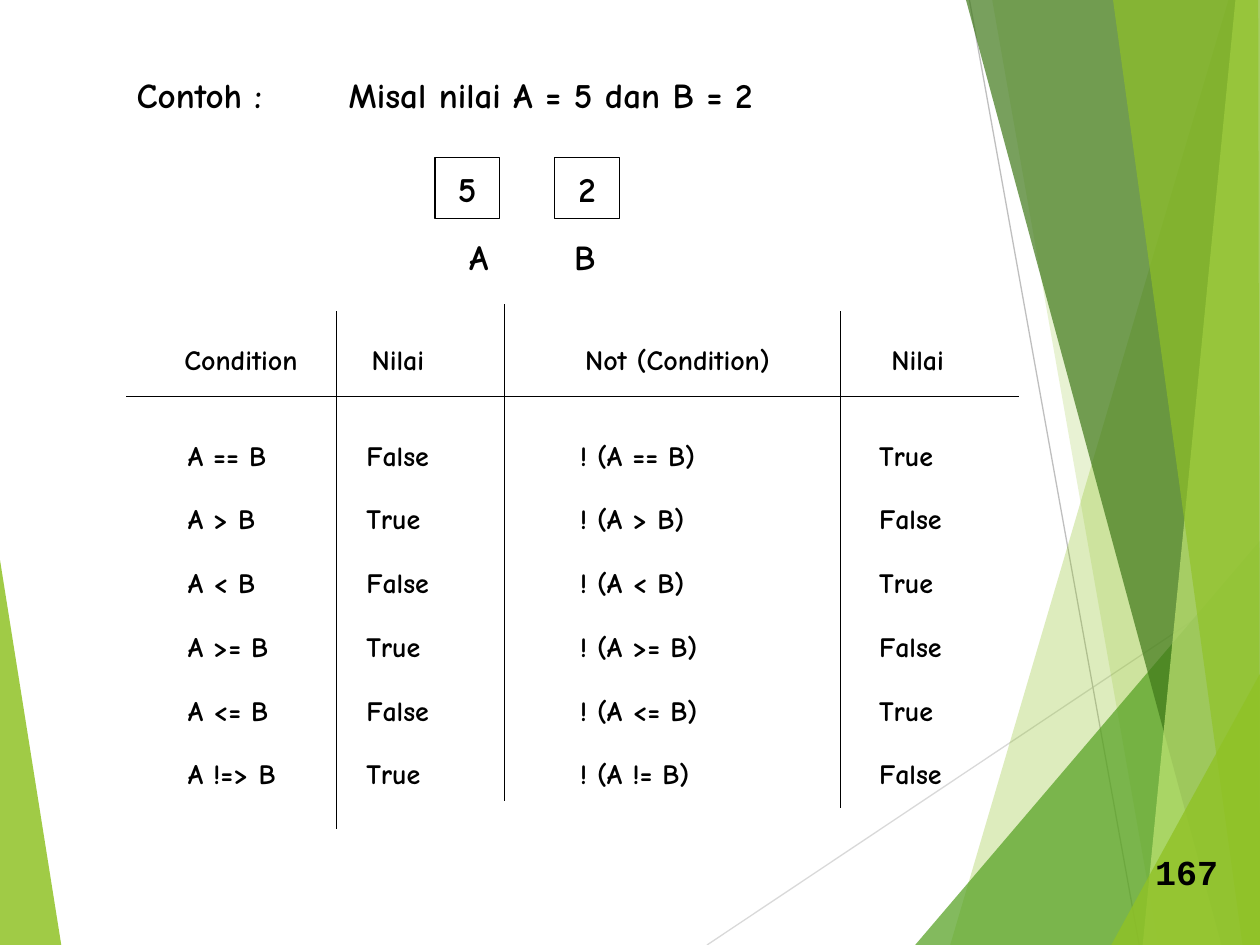
from lxml import etree
from pptx import Presentation
from pptx.dml.color import RGBColor
from pptx.enum.shapes import MSO_CONNECTOR, MSO_SHAPE
from pptx.enum.text import MSO_ANCHOR, MSO_AUTO_SIZE, PP_ALIGN
from pptx.oxml.ns import qn
from pptx.util import Pt

STRAIGHT = MSO_CONNECTOR.STRAIGHT
RECT = MSO_SHAPE.RECTANGLE
TOP, MIDDLE = MSO_ANCHOR.TOP, MSO_ANCHOR.MIDDLE
LEFT, CENTER = PP_ALIGN.LEFT, PP_ALIGN.CENTER
FIT = MSO_AUTO_SIZE.SHAPE_TO_FIT_TEXT

WIDE, HIGH = 720, 540
INK = "000000"
HAND, MONO = "Comic Neue", "Courier New"

# Colour, opacity in percent, corners; back to front
LEAF = ("90C226", 85, [(0, 320), (35, 540), (0, 540)])
FAN = [
    ("90C226", 30, [(702, 0), (543, 540), (720, 540), (720, 0)]),
    ("90C226", 20, [(567, 0), (662, 540), (720, 540), (720, 0)]),
    ("54A021", 72, [(523, 540), (720, 309), (720, 540)]),
    ("3F7819", 70, [(552, 0), (698, 540), (720, 540), (720, 0)]),
    ("C0E474", 70, [(706, 0), (653, 540), (720, 540), (720, 0)]),
    ("90C226", 65, [(636, 0), (710, 540), (720, 540), (719, 0)]),
    ("90C226", 80, [(635, 540), (720, 385), (720, 540)]),
]

# Values with box left, label left and label width
VARS = [("5", "A", 0, 12.5, 27), ("2", "B", 68.5, 72.5, 29)]

TESTS = ["A == B", "A > B", "A < B", "A >= B", "A <= B", "A !=> B"]
NOTS = ["! (A == B)", "! (A > B)", "! (A < B)",
        "! (A >= B)", "! (A <= B)", "! (A != B)"]
ODD, EVEN = ["False", "True"] * 3, ["True", "False"] * 3

# Head, its left and width, then rows, their left and width
COLS = [
    ("Condition", 26, 82, TESTS, 28, 68),
    ("Nilai", 133, 48, ODD, 130, 54),
    ("Not (Condition)", 255, 123, NOTS, 252, 86),
    ("Nilai", 430, 48, EVEN, 423, 54),
]
# Left, top and bottom of each upright rule
RULES = [(120, 4, 300), (216, 0, 284), (408, 4, 288)]


def color(text):
    return RGBColor.from_string(text)


def place(shape, box):
    shape.left, shape.top, shape.width, shape.height = map(Pt, box)


def write(shape, lines, size, font=HAND, align=LEFT, space=1.0):
    frame = shape.text_frame
    frame.word_wrap = False
    frame.text = "\n".join(lines)
    for para in frame.paragraphs:
        para.alignment = align
        para.line_spacing = space
        para.font.name = font
        para.font.size = Pt(size)
        para.font.bold = True
        para.font.color.rgb = color(INK)
    return frame


def label(slide, box, lines, size, font=HAND, space=1.0):
    shape = slide.shapes.add_textbox(*map(Pt, box))
    write(shape, lines, size, font, space=space).auto_size = FIT


def rule(slide, start, end, tint=INK):
    line = slide.shapes.add_connector(STRAIGHT, *map(Pt, start + end))
    line.line.color.rgb = color(tint)
    line.line.width = Pt(0.75)
    props = line._element.spPr
    etree.SubElement(props, qn("a:effectLst"))


def shard(slide, tint, alpha, points):
    pen = slide.shapes.build_freeform(*points[0], scale=Pt(1))
    pen.add_line_segments(points[1:])
    shape = pen.convert_to_shape()
    shape.shadow.inherit = False
    shape.line.fill.background()
    shape.fill.solid()
    shape.fill.fore_color.rgb = color(tint)
    clr = shape._element.spPr.find(qn("a:solidFill"))[0]
    etree.SubElement(clr, qn("a:alpha"), val=str(alpha * 1000))


def backdrop(slide, box):
    x, y, w, h = box
    shard(slide, *LEAF)
    rule(slide, (x + 404, y + h), (x + w, y + 329), "D9D9D9")
    rule(slide, (x + 554, y), (x + 651, y + h), "BFBFBF")
    for part in FAN:
        shard(slide, *part)


def heading(slide, box):
    x, y, w, h = box
    label(slide, (x, y, 90, h), ["Contoh :"], 20)
    title = slide.shapes.title
    place(title, (x + 121, y, w - 121, h))
    frame = write(title, ["Misal nilai A = 5 dan B = 2"], 20)
    frame.vertical_anchor = TOP
    frame.auto_size = FIT


def values(slide, box):
    x, y, w, h = box
    for value, name, left, tag, wide in VARS:
        cell = slide.shapes.add_shape(RECT, Pt(x + left), Pt(y), Pt(37), Pt(35))
        cell.shadow.inherit = False
        cell.fill.background()
        cell.line.color.rgb = color(INK)
        cell.line.width = Pt(0.75)
        write(cell, [value], 20, align=CENTER).vertical_anchor = MIDDLE
        label(slide, (x + tag, y + h - 32, wide, 32), [name], 20)


def truth(slide, box):
    x, y, w, h = box
    # Heads and rows
    for head, left, wide, rows, inset, span in COLS:
        label(slide, (x + left, y + 18, wide, 27), [head], 16)
        label(slide, (x + inset, y + 55.5, span, 226), rows, 16, space=1.9)
    # Ruled grid
    rule(slide, (x, y + 52.5), (x + w, y + 52.5))
    for left, top, end in RULES:
        rule(slide, (x + left, y + top), (x + left, y + end))


def main():
    deck = Presentation()
    deck.slide_width, deck.slide_height = Pt(WIDE), Pt(HIGH)
    slide = deck.slides.add_slide(deck.slide_layouts[5])
    backdrop(slide, (0, 0, WIDE, HIGH))
    heading(slide, (71, 38.5, 370, 32))
    values(slide, (248.5, 90, 106, 73))
    truth(slide, (72.25, 174, 510, 300))
    # Page number
    label(slide, (653, 482.5, 54, 32), ["167"], 20, MONO)
    deck.save("out.pptx")


if __name__ == "__main__":
    main()
